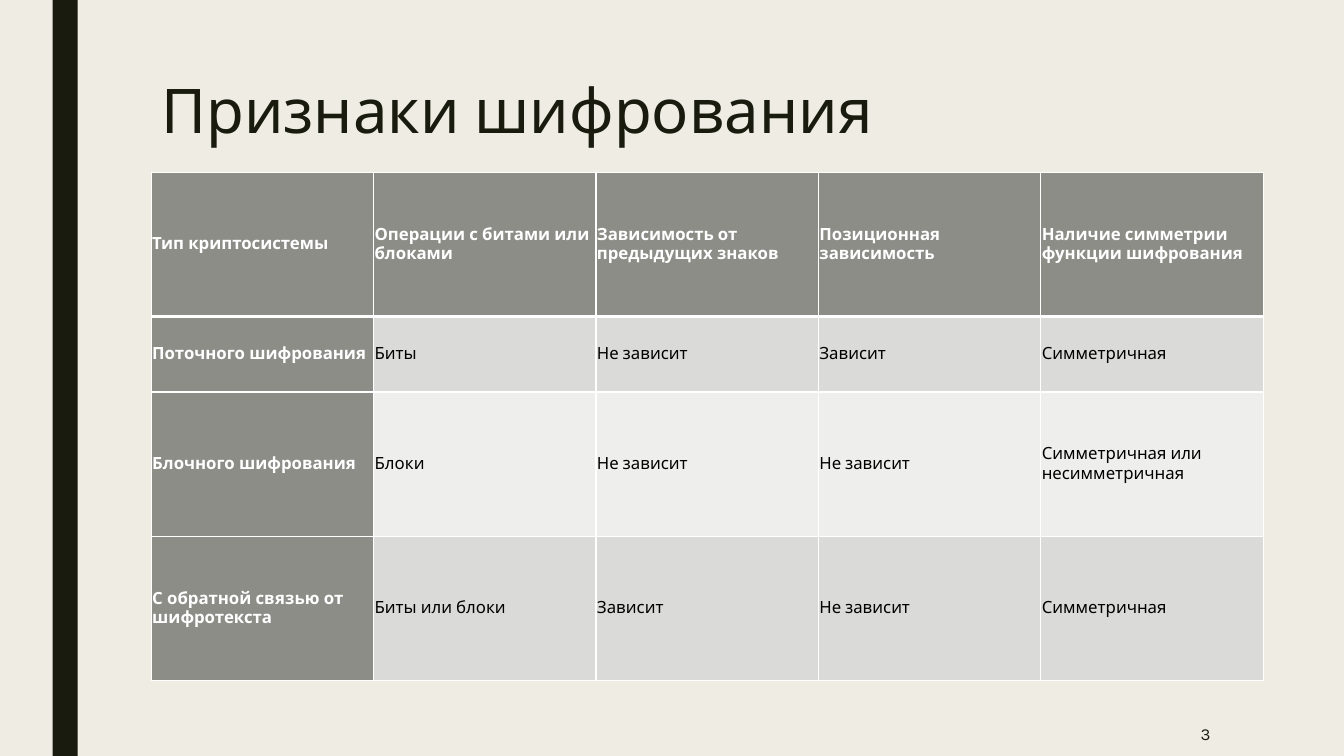
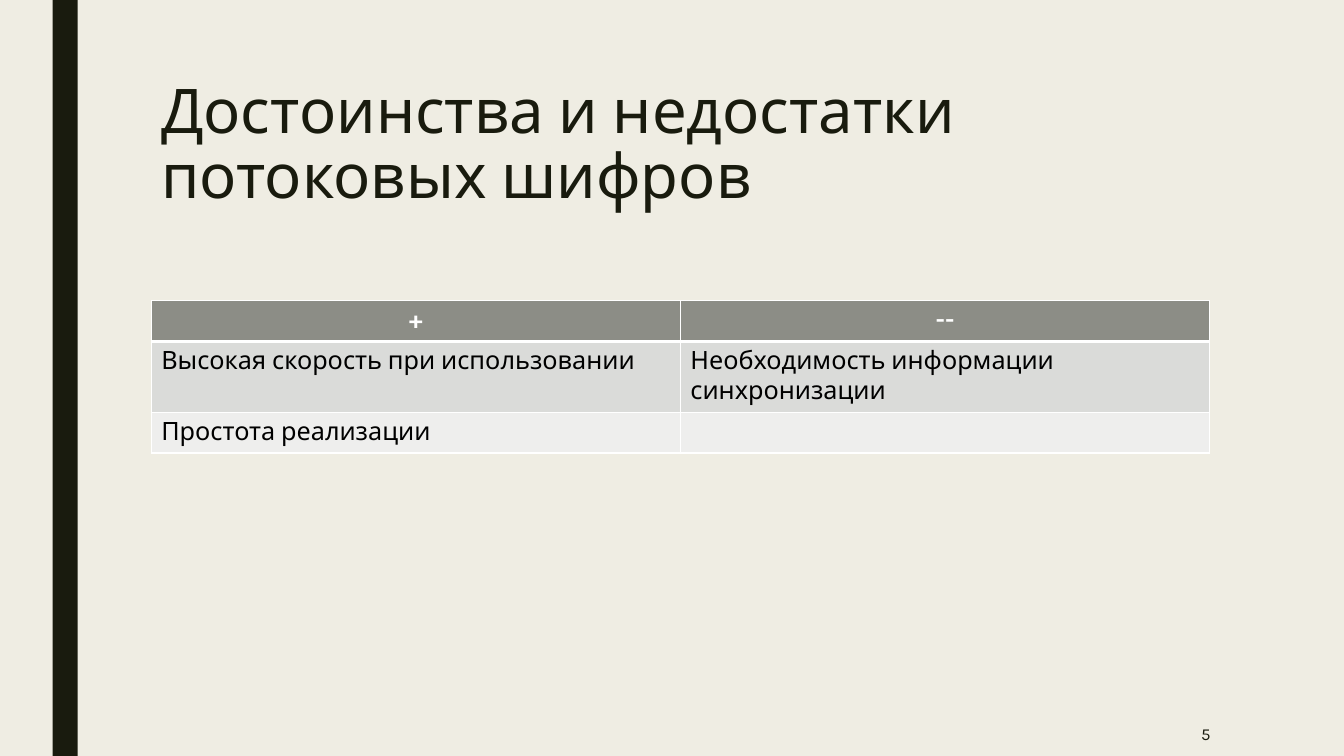
from lxml.etree import SubElement
from pptx import Presentation
from pptx.dml.color import RGBColor
from pptx.enum.shapes import MSO_SHAPE
from pptx.enum.text import MSO_ANCHOR, PP_ALIGN
from pptx.oxml.ns import qn
from pptx.util import Inches, Pt

COLS, ROWS = 160, 90
UNIT = Inches(7.5) / ROWS
FONT = "Karla"
INK = {
    "back": "EFEDE3",
    "dark": "191B0E",
    "head": "8C8D86",
    "odd": "DADBD9",
    "even": "EEEEED",
    "white": "FFFFFF",
    "black": "000000",
}
BAR = (6.25, 0, 3, ROWS)
TITLE = (18, 9, 126, 19.5)
NUMBER = (124.3, 84.75, 21, 5.25)


def span(*cells):
    return [round(cell * UNIT) for cell in cells]


def paint(fill, name):
    fill.solid()
    fill.fore_color.rgb = RGBColor.from_string(INK[name])


def write(frame, text, size=12, color="dark", bold=False,
          align=PP_ALIGN.LEFT, lead=None):
    frame.word_wrap = True
    para = frame.paragraphs[0]
    para.alignment = align
    para.line_spacing = lead
    para.font.size = Pt(size)
    if text:
        run = para.add_run()
        run.text = text
        font = run.font
        font.name, font.size, font.bold = FONT, Pt(size), bold
        font.color.rgb = RGBColor.from_string(INK[color])


def label(slide, box, text, anchor=MSO_ANCHOR.TOP, **style):
    frame = slide.shapes.add_textbox(*span(*box)).text_frame
    frame.vertical_anchor = anchor
    write(frame, text, **style)


def edge(cell, **widths):
    props = cell._tc.get_or_add_tcPr()
    for side in "LRTB":
        line = SubElement(props, qn(f"a:ln{side}"), w=str(Pt(widths.get(side, 1))))
        fill = SubElement(line, qn("a:solidFill"))
        SubElement(fill, qn("a:srgbClr"), val=INK["white"])


def grid(slide, box, data, shares, size, pad=None, side=False,
         anchor=MSO_ANCHOR.TOP, align=PP_ALIGN.LEFT):
    left, top, width, height = span(*box)
    count = len(data[0])
    table = slide.shapes.add_table(len(data), count, left, top, width, height).table
    for col in table.columns:
        col.width = round(width / count)
    for row, share in zip(table.rows, shares):
        row.height = round(height * share / sum(shares))
    for r, texts in enumerate(data):
        for c, text in enumerate(texts):
            cell = table.cell(r, c)
            head = r == 0 or (side and c == 0)
            edge(cell, T=3 if r == 1 else 1, B=3 if r == 0 else 1)
            paint(cell.fill, "head" if head else "odd" if r % 2 else "even")
            cell.vertical_anchor = anchor
            if pad is not None:
                cell.margin_left = cell.margin_right = Inches(pad)
                cell.margin_top = cell.margin_bottom = Inches(pad)
            write(cell.text_frame, text, size=size, bold=head,
                  color="white" if head else "black",
                  align=align if r == 0 else PP_ALIGN.LEFT)


def page(deck, title, number):
    slide = deck.slides.add_slide(deck.slide_layouts[6])
    paint(slide.background.fill, "back")
    bar = slide.shapes.add_shape(MSO_SHAPE.RECTANGLE, *span(*BAR))
    bar.shadow.inherit = False
    paint(bar.fill, "dark")
    bar.line.fill.background()
    label(slide, TITLE, title, size=44, lead=0.89)
    label(slide, NUMBER, number, anchor=MSO_ANCHOR.MIDDLE, align=PP_ALIGN.RIGHT)
    return slide


def traits(deck):
    slide = page(deck, "Признаки шифрования", "3")
    data = [
        ("Тип криптосистемы", "Операции с битами или блоками",
         "Зависимость от предыдущих знаков", "Позиционная зависимость",
         "Наличие симметрии функции шифрования"),
        ("Поточного шифрования", "Биты", "Не зависит", "Зависит", "Симметричная"),
        ("Блочного шифрования", "Блоки", "Не зависит", "Не зависит",
         "Симметричная или несимметричная"),
        ("С обратной связью от шифротекста", "Биты или блоки", "Зависит",
         "Не зависит", "Симметричная"),
    ]
    grid(slide, (18, 20.5, 132.4, 60.5), data, (1.43, 0.75, 1.43, 1.43), 12,
         pad=0.01, side=True, anchor=MSO_ANCHOR.MIDDLE)


def merits(deck):
    slide = page(deck, "Достоинства и недостатки потоковых шифров", "5")
    data = [
        ("+", "--"),
        ("Высокая скорость при использовании",
         "Необходимость информации синхронизации"),
        ("Простота реализации", ""),
    ]
    grid(slide, (18, 35.8, 126, 14.6), data, (1, 1, 1), 18, align=PP_ALIGN.CENTER)


def main():
    deck = Presentation()
    deck.slide_width, deck.slide_height = span(COLS, ROWS)
    traits(deck)
    merits(deck)
    deck.save("out.pptx")


if __name__ == "__main__":
    main()
